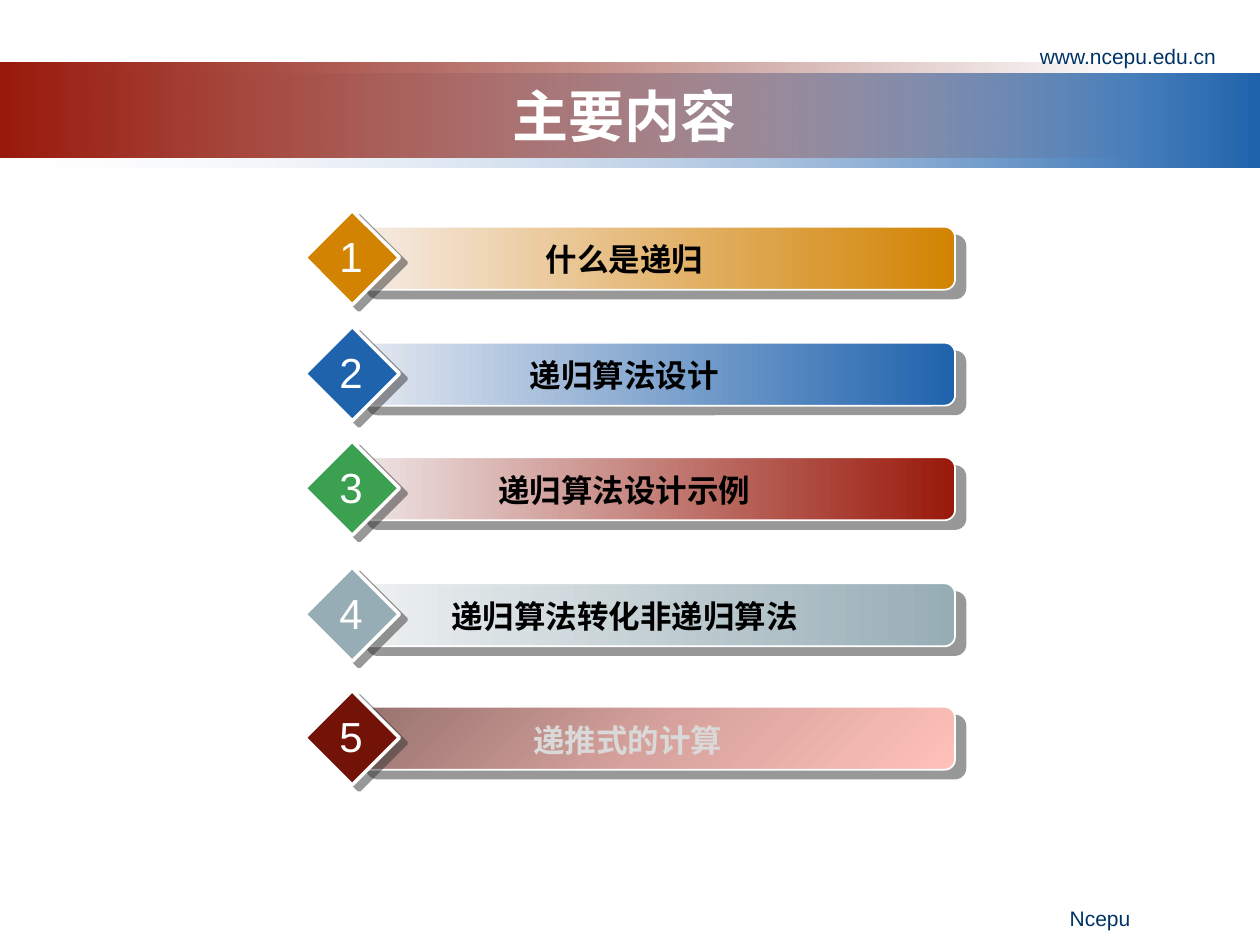
from lxml import etree
from pptx import Presentation
from pptx.dml.color import RGBColor
from pptx.enum.shapes import MSO_SHAPE
from pptx.enum.text import MSO_ANCHOR, PP_ALIGN
from pptx.oxml.ns import qn
from pptx.util import Inches, Pt

RECT, ROUND, DIAMOND = MSO_SHAPE.RECTANGLE, MSO_SHAPE.ROUNDED_RECTANGLE, MSO_SHAPE.DIAMOND
CENTER, RIGHT = PP_ALIGN.CENTER, PP_ALIGN.RIGHT
TOP, MIDDLE = MSO_ANCHOR.TOP, MSO_ANCHOR.MIDDLE
LATIN, HAN = "Arial", "Noto Sans CJK SC"

COLORS = {
    "white": "FFFFFF", "black": "000000", "navy": "003366", "shade": "333333",
    "pale": "D9D9D9", "mist": "F1F2F7", "orange": "D28302", "cream": "F6ECE6",
    "blue": "1F63AD", "ice": "E6E9F1", "red": "99190B", "blush": "EEE6E6",
    "green": "3CA051", "gray": "97ADB5", "fog": "EEF1F2", "maroon": "731308",
    "wine": "6D1208", "umber": "97726E", "rose": "D7A29D", "pink": "FFC1BA",
}

# number, label, top, diamond colour, bar stops, bar angle, label colour
ITEMS = [
    ("1", "什么是递归", 1.67, "orange", [(0, "cream"), (100, "orange")], 0, "black"),
    ("2", "递归算法设计", 2.59, "blue", [(0, "ice"), (100, "blue")], 0, "black"),
    ("3", "递归算法设计示例", 3.5, "green", [(0, "blush"), (100, "red")], 0, "black"),
    ("4", "递归算法转化非递归算法", 4.5, "gray", [(0, "fog"), (100, "gray")], 0, "black"),
    ("5", " 递推式的计算", 5.48, "maroon",
     [(0, "umber"), (50, "rose"), (100, "pink")], 45, "pale"),
]


def rgb(name):
    return RGBColor.from_string(COLORS[name])


def node(up, tag, **attrs):
    return etree.SubElement(up, qn(tag), {k: str(v) for k, v in attrs.items()})


def tint(up, name, alpha=100):
    """Add a colour element, with its opacity in percent."""
    color = node(up, "a:srgbClr", val=COLORS[name])
    if alpha < 100:
        node(color, "a:alpha", val=alpha * 1000)


def blend(shape, stops, angle):
    """Fill with a linear gradient of (percent, colour[, opacity]) stops."""
    shape.fill.gradient()
    grad = shape._element.spPr.find(qn("a:gradFill"))
    grad.clear()
    marks = node(grad, "a:gsLst")
    for pos, *color in stops:
        tint(node(marks, "a:gs", pos=pos * 1000), *color)
    node(grad, "a:lin", ang=angle * 60000, scaled=0)


def write(frame, text, size=12, font=LATIN, color="navy", bold=False,
          align=CENTER, anchor=TOP, wrap=True):
    frame.word_wrap = wrap
    frame.vertical_anchor = anchor
    para = frame.paragraphs[0]
    para.alignment = align
    run = para.add_run()
    run.text = text
    run.font.size = Pt(size)
    run.font.name = font
    run.font.bold = bold
    run.font.color.rgb = rgb(color)
    node(run.font._element, "a:ea", typeface=font)


class Deck:
    def __init__(self):
        self.prs = Presentation()
        self.prs.slide_width, self.prs.slide_height = Inches(10), Inches(7.5)
        self.slide = self.prs.slides.add_slide(self.prs.slide_layouts[6])
        self.home = self.slide.shapes

    def shape(self, kind, box, fill, angle=0, line=0, drop=None, home=None):
        """Add a shape; fill is a colour or stops, drop is (distance, angle)."""
        shape = (home or self.home).add_shape(kind, *map(Inches, box))
        if isinstance(fill, str):
            shape.fill.solid()
            shape.fill.fore_color.rgb = rgb(fill)
        else:
            blend(shape, fill, angle)
        if line:
            shape.line.color.rgb = rgb("white")
            shape.line.width = Pt(line)
        else:
            shape.line.fill.background()
        shape.shadow.inherit = False
        if drop:
            dist, way = drop
            effects = shape._element.spPr.find(qn("a:effectLst"))
            tint(node(effects, "a:outerShdw", dist=Pt(dist), dir=way * 60000,
                      algn="ctr", rotWithShape=0), "shade", 50)
        return shape

    def text(self, box, text, home=None, **style):
        area = (home or self.home).add_textbox(*map(Inches, box))
        write(area.text_frame, text, **style)

    def item(self, num, label, top, color, stops, angle, ink):
        """Add one numbered bar as a group."""
        home = self.home.add_group_shape().shapes
        bar = self.shape(ROUND, (2.83, top + 0.13, 4.75, 0.5), stops, angle,
                         line=1, drop=(7.8, 40), home=home)
        bar.adjustments[0] = 0.167
        self.shape(DIAMOND, (2.42, top, 0.75, 0.75), color,
                   line=2, drop=(5, 37), home=home)
        self.text((3.08, top + 0.19, 3.75, 0.4), label, home,
                  size=18, font=HAN, color=ink, bold=True)
        self.text((2.59, top + 0.11, 0.39, 0.5), num, home,
                  size=24, color="white", wrap=False)


def main():
    deck = Deck()
    deck.shape(RECT, (0, 0.58, 10, 0.75), [(0, "mist", 0), (100, "blue")])
    deck.shape(RECT, (0, 0.5, 9, 0.75), [(0, "red"), (100, "wine", 0)])
    deck.text((0.92, 0.6, 8.08, 0.62), "主要内容", size=32, font=HAN,
              color="white", bold=True, anchor=MIDDLE)
    deck.text((7.42, 0.3, 2.33, 0.27), "www.ncepu.edu.cn", align=RIGHT)
    deck.text((5.9, 7.14, 3.17, 0.3), "Ncepu", align=RIGHT)
    for item in ITEMS:
        deck.item(*item)
    deck.prs.save("out.pptx")


if __name__ == "__main__":
    main()
